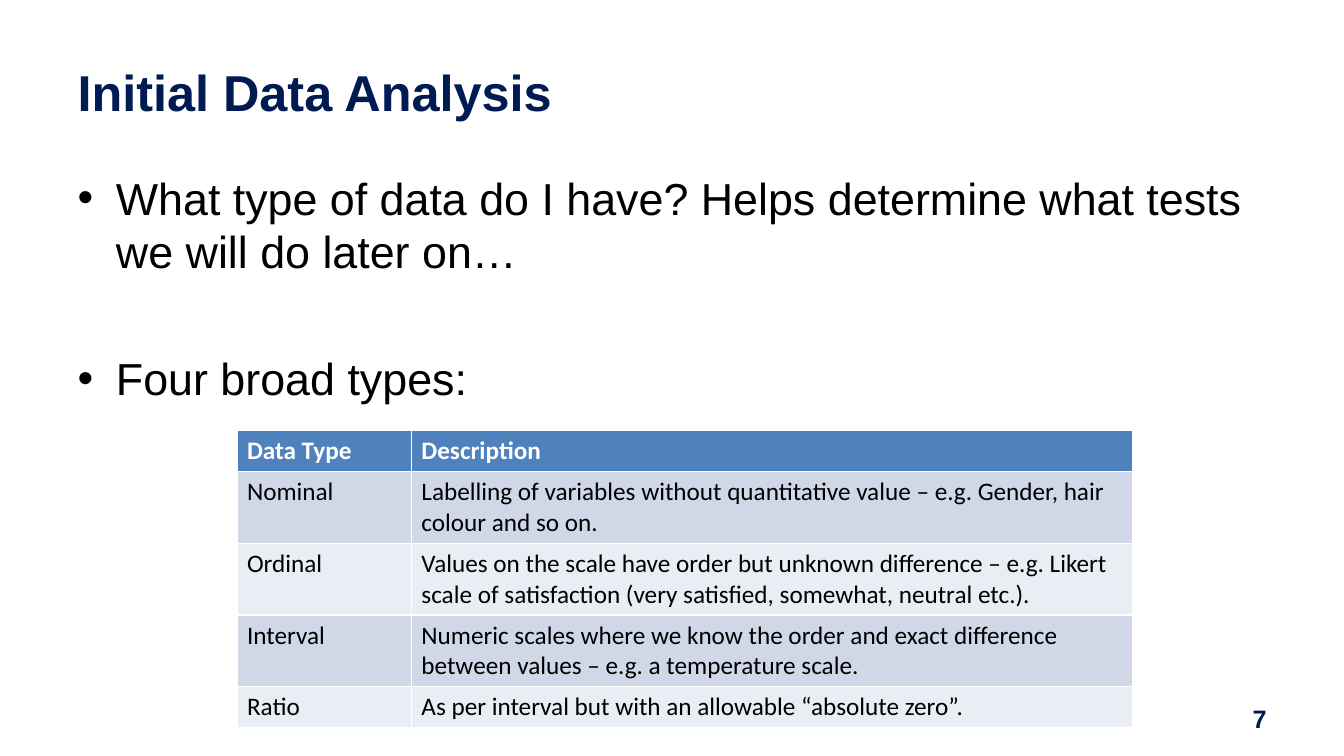
from pptx import Presentation
from pptx.dml.color import RGBColor
from pptx.enum.text import MSO_ANCHOR, MSO_AUTO_SIZE, PP_ALIGN
from pptx.oxml import parse_xml
from pptx.oxml.ns import nsdecls
from pptx.util import Inches, Pt

TOP, MIDDLE = MSO_ANCHOR.TOP, MSO_ANCHOR.MIDDLE
LEFT, RIGHT = PP_ALIGN.LEFT, PP_ALIGN.RIGHT
NO_FIT = MSO_AUTO_SIZE.NONE

TITLE = "Initial Data Analysis"
# bullet text, space before in points
BULLETS = [
    ("What type of data do I have? Helps determine what tests we will do later on…", 6),
    ("Four broad types:", 52),
]
PAGE = "7"
DATA_TYPES = [
    ("Data Type", "Description"),
    ("Nominal", "Labelling of variables without quantitative value – e.g. Gender, "
                "hair colour and so on."),
    ("Ordinal", "Values on the scale have order but unknown difference – e.g. Likert "
                "scale of satisfaction (very satisfied, somewhat, neutral etc.)."),
    ("Interval", "Numeric scales where we know the order and exact difference "
                 "between values – e.g. a temperature scale."),
    ("Ratio", "As per interval but with an allowable “absolute zero”."),
]

THEME = {
    "title": dict(name="Arial", size=Pt(36), bold=True, color="001A52"),
    "body": dict(name="Arial", size=Pt(32), bold=False, color="000000"),
    "page": dict(name="Arial", size=Pt(18), bold=True, color="001A52"),
    "header": dict(name="Calibri", size=Pt(18), bold=True, color="FFFFFF"),
    "cell": dict(name="Calibri", size=Pt(18), bold=False, color="000000"),
    "header_fill": "4F81BD",
    "band_fills": ("D0D8E8", "E9EDF4"),
}

WIDTH, HEIGHT, MARGIN = 13.33, 7.5, 0.67
CONTENT_WIDTH = WIDTH - 2 * MARGIN
INDENT = 0.38
TABLE_LEFT, TABLE_TOP = 2.35, 4.27
COLUMNS, ROW_HEIGHT = (1.73, 7.15), 0.41


def write(p, text, style):
    r = p.add_run()
    r.text = text
    for key, value in THEME[style].items():
        if key == "color":
            r.font.color.rgb = RGBColor.from_string(value)
        else:
            setattr(r.font, key, value)


def place(sp, left, top, width, height, anchor):
    """Position a text shape and return its text frame."""
    box = dict(left=left, top=top, width=width, height=height)
    for key, value in box.items():
        setattr(sp, key, Inches(value))
    tf = sp.text_frame
    for key, value in dict(word_wrap=True, auto_size=NO_FIT, vertical_anchor=anchor).items():
        setattr(tf, key, value)
    return tf


def add_bullet(p):
    pPr = p._p.get_or_add_pPr()
    pPr.set("marL", str(Inches(INDENT)))
    pPr.set("indent", str(-Inches(INDENT)))
    pPr.append(parse_xml(f'<a:buFont {nsdecls("a")} typeface="Arial"/>'))
    pPr.append(parse_xml(f'<a:buChar {nsdecls("a")} char="•"/>'))


def add_data_table(s):
    frame = s.shapes.add_table(
        len(DATA_TYPES), len(COLUMNS), Inches(TABLE_LEFT), Inches(TABLE_TOP),
        Inches(sum(COLUMNS)), Inches(ROW_HEIGHT * len(DATA_TYPES)))
    table = frame.table
    for column, width in zip(table.columns, COLUMNS):
        column.width = Inches(width)
    for i, row in enumerate(DATA_TYPES):
        table.rows[i].height = Inches(ROW_HEIGHT)
        fill = THEME["band_fills"][(i - 1) % 2] if i else THEME["header_fill"]
        for j, text in enumerate(row):
            cell = table.cell(i, j)
            cell.fill.solid()
            cell.fill.fore_color.rgb = RGBColor.from_string(fill)
            write(cell.text_frame.paragraphs[0], text, "cell" if i else "header")


def main():
    prs = Presentation()
    prs.slide_width, prs.slide_height = Inches(WIDTH), Inches(HEIGHT)
    s = prs.slides.add_slide(prs.slide_layouts[1])
    for sp in s.placeholders:
        if sp.placeholder_format.idx > 1:
            sp.element.getparent().remove(sp.element)

    tf = place(s.shapes.title, MARGIN, 0.42, CONTENT_WIDTH, 0.97, MIDDLE)
    tf.paragraphs[0].alignment = LEFT
    write(tf.paragraphs[0], TITLE, "title")

    tf = place(s.placeholders[1], MARGIN, 1.64, CONTENT_WIDTH, 5.11, TOP)
    for i, (text, gap) in enumerate(BULLETS):
        p = tf.add_paragraph() if i else tf.paragraphs[0]
        p.space_before = Pt(gap)
        add_bullet(p)
        write(p, text, "body")

    tf = place(s.shapes.add_textbox(0, 0, 0, 0), WIDTH - 2 * MARGIN, 6.93, MARGIN, 0.4, TOP)
    tf.paragraphs[0].alignment = RIGHT
    write(tf.paragraphs[0], PAGE, "page")

    add_data_table(s)
    prs.save("out.pptx")


if __name__ == "__main__":
    main()
